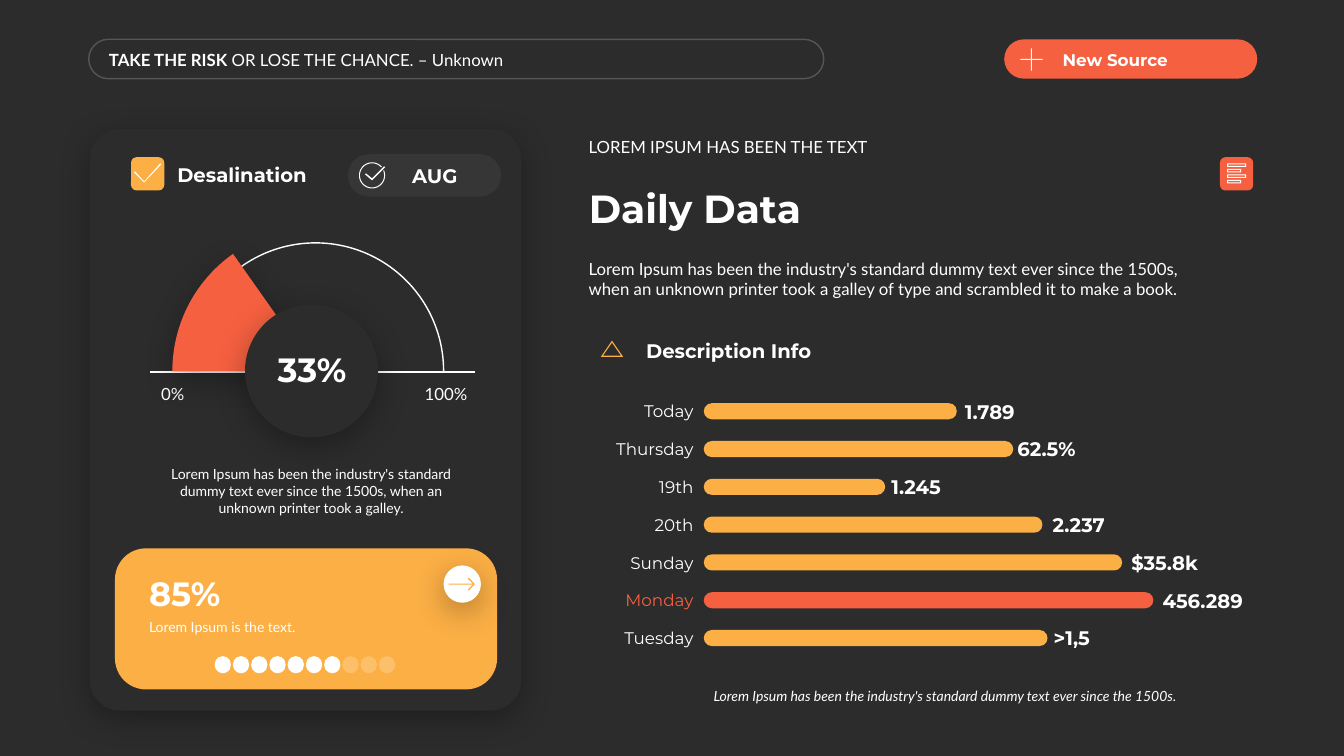
"""Build a dark dashboard slide with a gauge card and a list of daily bars."""
from math import cos, radians, sin

from lxml.etree import SubElement
from pptx import Presentation
from pptx.dml.color import RGBColor
from pptx.enum.shapes import MSO_CONNECTOR, MSO_SHAPE as Preset
from pptx.enum.text import MSO_ANCHOR as Anchor, MSO_AUTO_SIZE, PP_ALIGN as Align
from pptx.oxml.ns import qn
from pptx.util import Inches, Pt

DARK = RGBColor(0x2C, 0x2C, 0x2C)
WHITE = RGBColor(0xFF, 0xFF, 0xFF)
CORAL = RGBColor(0xF5, 0x60, 0x40)
AMBER = RGBColor(0xFC, 0xAF, 0x45)

BODY = {"name": "Lato", "size": Pt(12), "bold": False}
SMALL = {**BODY, "size": Pt(10)}
LABEL = {"name": "Montserrat", "size": Pt(12), "bold": False}
BUTTON = {**LABEL, "bold": True}
HEADING = {**BUTTON, "size": Pt(14)}
FIGURE = {**BUTTON, "size": Pt(24)}
TITLE = {**BUTTON, "size": Pt(28)}

BAR_LEFT, BAR_HEIGHT, FIRST_BAR_Y, BAR_PITCH = 6.98, 0.16, 4.08, 0.375
DAYS = [
    ("Today", 2.51, "1.789", 9.57),
    ("Thursday", 3.07, "62.5%", 10.09),
    ("19th", 1.8, "1.245", 8.84),
    ("20th", 3.36, "2.237", 10.44),
    ("Sunday", 4.15, "$35.8k", 11.22),
    ("Monday", 4.46, "456.289", 11.53),
    ("Tuesday", 3.41, ">1,5", 10.45),
]
GAUGE_START, GAUGE_VALUE = 107.892, 140.881


def set_alpha(shape, percent):
    """Make the colours of a shape partly transparent."""
    for colour in shape.element.spPr.iter(qn("a:srgbClr")):
        SubElement(colour, qn("a:alpha"), val=str(percent * 1000))


def add_soft_shadow(shape):
    """Give a shape a blurred shadow that falls downwards."""
    effects = shape.element.spPr.find(qn("a:effectLst"))
    shadow = SubElement(effects, qn("a:outerShdw"), blurRad=str(Pt(23)),
                        dist=str(Pt(6)), dir="5400000", algn="t", rotWithShape="0")
    colour = SubElement(shadow, qn("a:srgbClr"), val="000000")
    SubElement(colour, qn("a:alpha"), val="30000")


def paint(shape, fill=None, line=None):
    """Set the fill and line of a shape and drop its theme shadow."""
    shape.shadow.inherit = False
    if fill is None:
        shape.fill.background()
    else:
        shape.fill.solid()
        shape.fill.fore_color.rgb = fill
    if line is None:
        shape.line.fill.background()
    else:
        shape.line.color.rgb = line
        shape.line.width = Pt(1)


def add_preset(slide, preset, box, fill=None, line=None, adjust=(), alpha=None, shadow=False):
    """Add a preset shape in a box given in inches."""
    shape = slide.shapes.add_shape(preset, *map(Inches, box))
    for index, value in enumerate(adjust):
        shape.adjustments[index] = value
    paint(shape, fill, line)
    if alpha is not None:
        set_alpha(shape, alpha)
    if shadow:
        add_soft_shadow(shape)


def add_pill(slide, box, **look):
    """Add a bar with fully rounded ends."""
    add_preset(slide, Preset.ROUNDED_RECTANGLE, box, adjust=[0.5], **look)


def add_icon(slide, colour, *contours):
    """Add a filled outline made of closed contours in inches."""
    contours = [[(Inches(x), Inches(y)) for x, y in contour] for contour in contours]
    builder = slide.shapes.build_freeform(*contours[0][0])
    builder.add_line_segments(contours[0][1:])
    for contour in contours[1:]:
        builder.move_to(*contour[0])
        builder.add_line_segments(contour[1:])
    paint(builder.convert_to_shape(), colour)


def write(shape, runs, colour=WHITE, align=Align.LEFT, anchor=Anchor.MIDDLE,
          inset=0.1, inset_y=0.05, wrap=True):
    """Fill a text shape with one paragraph of formatted runs."""
    frame = shape.text_frame
    settings = {"auto_size": MSO_AUTO_SIZE.NONE, "word_wrap": wrap, "vertical_anchor": anchor,
                "margin_left": Inches(inset), "margin_right": Inches(inset),
                "margin_top": Inches(inset_y), "margin_bottom": Inches(inset_y)}
    for key, value in settings.items():
        setattr(frame, key, value)
    paragraph = frame.paragraphs[0]
    paragraph.alignment = align
    for words, style in runs:
        run = paragraph.add_run()
        run.text = words
        run.font.color.rgb = colour
        for key, value in style.items():
            setattr(run.font, key, value)


def add_text(slide, box, words, style, **layout):
    """Add a text box with one run."""
    write(slide.shapes.add_textbox(*map(Inches, box)), [(words, style)], **layout)


def arc_points(x, y, radius, angles):
    """Return points on a circle at the given angles."""
    return [(x + radius * cos(radians(a)), y + radius * sin(radians(a))) for a in angles]


def rectangle(left, top, right, bottom):
    """Return the closed outline of a rectangle."""
    return [(left, top), (right, top), (right, bottom), (left, bottom), (left, top)]


def add_header(slide):
    """Add the quote bar and the source button."""
    add_pill(slide, (0.88, 0.39, 7.29, 0.39), line=WHITE, alpha=20)
    quote = slide.shapes.add_textbox(*map(Inches, (1.04, 0.44, 6.51, 0.3)))
    write(quote, [("TAKE THE RISK ", {**BODY, "bold": True}),
                  ("OR LOSE THE CHANCE. – Unknown", BODY)], inset=0.04)
    add_pill(slide, (9.96, 0.39, 2.51, 0.39), fill=CORAL)
    add_text(slide, (10.44, 0.44, 2.02, 0.3), "New Source", BUTTON)
    x, y, arm, half = 10.23, 0.59, 0.11, 0.005
    quarter = [(half, -half), (arm, -half), (arm, half)]
    plus = []
    for _ in range(4):
        plus += [(x + dx, y + dy) for dx, dy in quarter]
        quarter = [(-dy, dx) for dx, dy in quarter]
    add_icon(slide, WHITE, plus + plus[:1])


def add_gauge(slide):
    """Add the half-circle gauge with its scale and value."""
    add_preset(slide, Preset.ARC, (1.86, 2.41, 2.54, 2.54), line=WHITE, adjust=[GAUGE_START, 0])
    baseline = slide.shapes.add_connector(
        MSO_CONNECTOR.STRAIGHT, Inches(1.49), Inches(3.69), Inches(4.71), Inches(3.69))
    baseline.line.color.rgb = WHITE
    baseline.line.width = Pt(1)
    SubElement(baseline.element.spPr, qn("a:effectLst"))
    for left, width, mark in ((1.6, 0.23, "0%"), (4.21, 0.43, "100%")):
        add_text(slide, (left, 3.81, width, 0.2), mark, BODY,
                 align=Align.CENTER, inset=0, inset_y=0, wrap=False)
    add_preset(slide, Preset.ARC, (1.71, 2.26, 2.84, 2.84), fill=CORAL,
               adjust=[GAUGE_START, GAUGE_VALUE], shadow=True)
    add_preset(slide, Preset.OVAL, (2.43, 3.02, 1.32, 1.32), fill=DARK, shadow=True)
    add_text(slide, (2.35, 3.41, 1.49, 0.5), "33%", FIGURE, align=Align.CENTER)


def add_card(slide):
    """Add the left card with its heading, gauge and progress panel."""
    add_preset(slide, Preset.ROUNDED_RECTANGLE, (0.89, 1.28, 4.28, 5.77), fill=DARK,
               adjust=[0.071], shadow=True)
    add_preset(slide, Preset.ROUNDED_RECTANGLE, (1.3, 1.56, 0.33, 0.33), fill=AMBER)
    add_icon(slide, WHITE, [(1.59, 1.62), (1.6, 1.63), (1.43, 1.81), (1.33, 1.71),
                            (1.34, 1.7), (1.43, 1.8), (1.59, 1.62)])
    add_text(slide, (1.66, 1.56, 1.59, 0.34), "Desalination", HEADING)
    add_pill(slide, (3.45, 1.53, 1.52, 0.42), fill=WHITE, alpha=5)
    turn = range(-23, 319, 11)
    ring = arc_points(3.69, 1.74, 0.13, turn) + arc_points(3.69, 1.74, 0.12, reversed(turn))
    add_icon(slide, WHITE, ring + ring[:1],
             [(3.63, 1.72), (3.69, 1.77), (3.81, 1.65), (3.82, 1.66),
              (3.69, 1.79), (3.62, 1.73), (3.63, 1.72)])
    add_text(slide, (3.99, 1.57, 0.87, 0.34), "AUG", HEADING)
    add_gauge(slide)
    add_text(slide, (1.42, 4.57, 3.33, 0.61),
             "Lorem Ipsum has been the industry's standard dummy text ever since the 1500s, "
             "when an unknown printer took a galley.", SMALL, align=Align.CENTER, anchor=Anchor.TOP)
    add_preset(slide, Preset.ROUNDED_RECTANGLE, (1.14, 5.44, 3.79, 1.4), fill=AMBER, adjust=[0.22])
    add_text(slide, (1.38, 6.09, 2, 0.27), "Lorem Ipsum is the text.", SMALL, anchor=Anchor.TOP)
    add_text(slide, (1.38, 5.63, 2, 0.5), "85%", FIGURE, anchor=Anchor.BOTTOM)
    for step in range(10):
        add_pill(slide, (2.13 + 0.181 * step, 6.51, 0.16, 0.17), fill=WHITE,
                 alpha=None if step < 7 else 20)
    add_preset(slide, Preset.OVAL, (4.4, 5.61, 0.37, 0.37), fill=WHITE, shadow=True)
    add_icon(slide, AMBER, [(4.45, 5.79), (4.69, 5.79), (4.64, 5.74), (4.65, 5.73), (4.71, 5.795),
                            (4.65, 5.86), (4.64, 5.85), (4.69, 5.8), (4.45, 5.8), (4.45, 5.79)])


def add_days(slide):
    """Add one labelled bar for each day."""
    for row, (day, length, value, value_left) in enumerate(DAYS):
        middle = FIRST_BAR_Y + BAR_PITCH * row
        highlighted = day == "Monday"
        add_pill(slide, (BAR_LEFT, middle - BAR_HEIGHT / 2, length, BAR_HEIGHT),
                 fill=CORAL if highlighted else AMBER)
        add_text(slide, (5.85, middle - 0.15, 1.03, 0.3), day, LABEL, inset=0,
                 align=Align.RIGHT, colour=CORAL if highlighted else WHITE)
        add_text(slide, (value_left, middle - 0.17, 1.35, 0.34), value, HEADING, inset=0)


def add_report(slide):
    """Add the title, the introduction and the daily bars."""
    title = slide.shapes.title
    title.left, title.top, title.width, title.height = map(Inches, (5.74, 1.78, 6.22, 0.57))
    write(title, [("Daily Data", TITLE)], anchor=Anchor.BOTTOM)
    add_text(slide, (5.74, 1.31, 6.22, 0.3), "LOREM IPSUM HAS BEEN THE TEXT", BODY,
             anchor=Anchor.BOTTOM)
    add_text(slide, (5.74, 2.52, 6.22, 0.5),
             "Lorem Ipsum has been the industry's standard dummy text ever since the 1500s, when an "
             "unknown printer took a galley of type and scrambled it to make a book.",
             BODY, anchor=Anchor.TOP)
    add_preset(slide, Preset.ROUNDED_RECTANGLE, (12.1, 1.56, 0.33, 0.33), fill=CORAL)
    outlines = []
    for row, right in enumerate((12.36, 12.31, 12.36, 12.31)):
        top = 1.62 + 0.055 * row
        outlines += [rectangle(12.17, top, right, top + 0.035),
                     rectangle(12.18, top + 0.01, right - 0.01, top + 0.025)]
    add_icon(slide, WHITE, *outlines)
    add_text(slide, (6.31, 3.31, 4.96, 0.34), "Description Info", HEADING, anchor=Anchor.BOTTOM)
    add_icon(slide, AMBER, [(6.07, 3.38), (6.18, 3.54), (5.96, 3.54), (6.07, 3.38)],
             [(6.07, 3.4), (5.98, 3.53), (6.16, 3.53), (6.07, 3.4)])
    add_days(slide)
    add_text(slide, (6.98, 6.77, 5.44, 0.27),
             "Lorem Ipsum has been the industry's standard dummy text ever since the 1500s.",
             {**SMALL, "italic": True}, anchor=Anchor.TOP)


def main():
    """Build the slide and save it."""
    deck = Presentation()
    deck.slide_width, deck.slide_height = Inches(13.33), Inches(7.5)
    slide = deck.slides.add_slide(deck.slide_layouts[5])
    slide.background.fill.solid()
    slide.background.fill.fore_color.rgb = DARK
    add_header(slide)
    add_card(slide)
    add_report(slide)
    deck.save("out.pptx")


if __name__ == "__main__":
    main()
